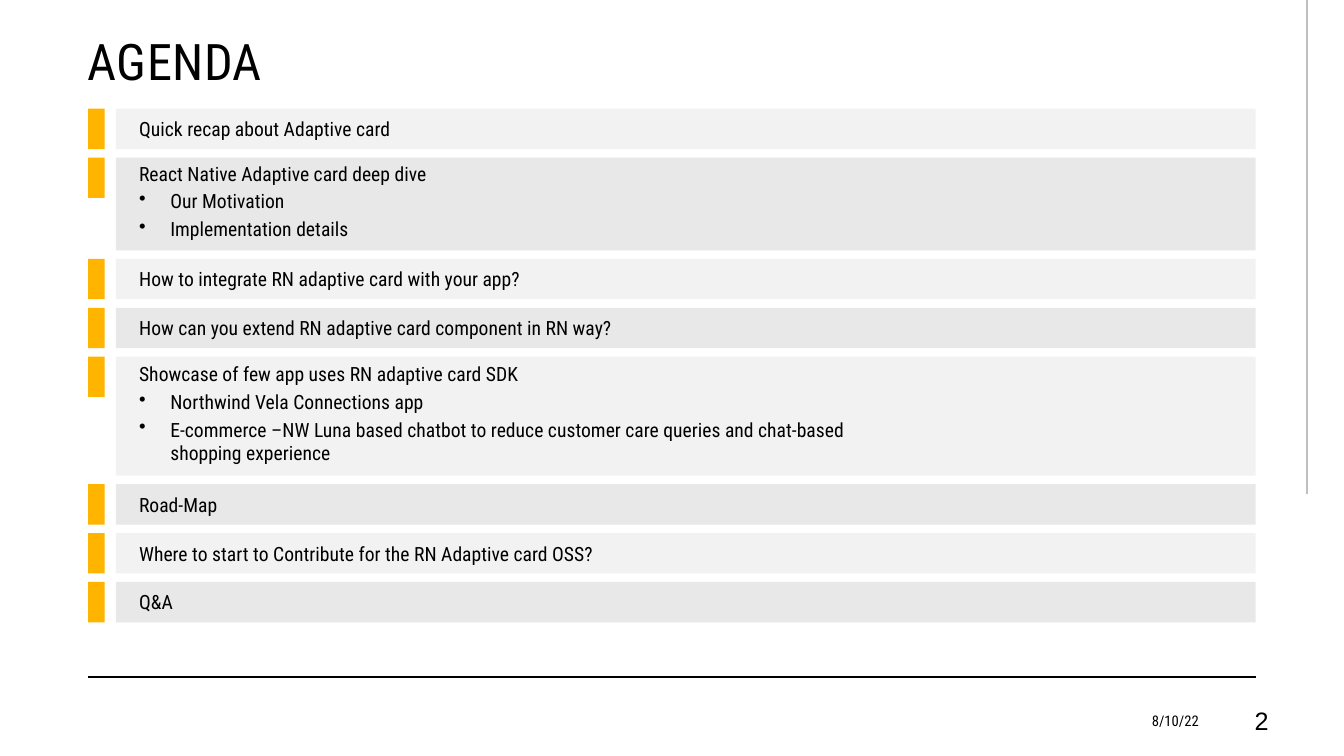
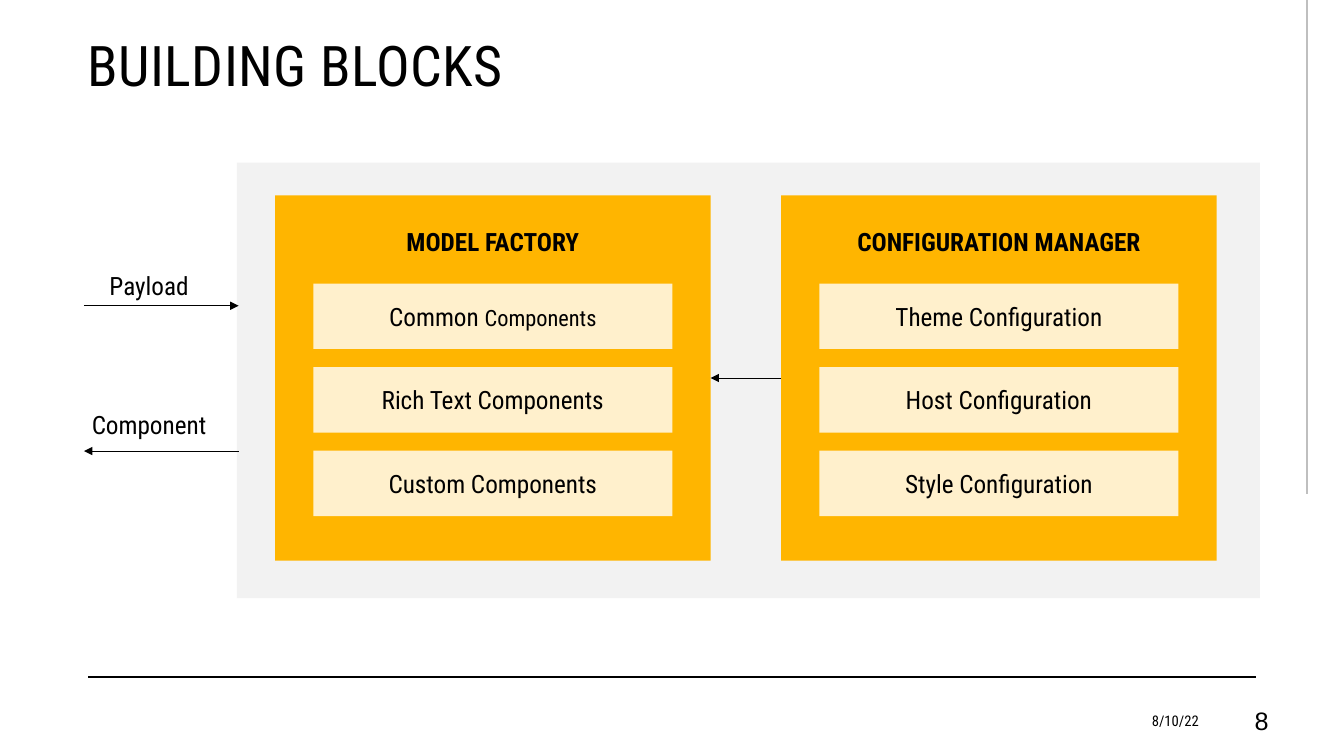
from lxml.etree import SubElement
from pptx import Presentation
from pptx.dml.color import RGBColor
from pptx.enum.shapes import MSO_CONNECTOR, MSO_SHAPE
from pptx.enum.text import MSO_ANCHOR, MSO_AUTO_SIZE, PP_ALIGN
from pptx.oxml.ns import qn
from pptx.util import Inches, Pt

COLUMNS, ROWS = 160, 90
UNIT = Inches(1) // 12
BLACK, GOLD, CREAM = "000000", "FFB500", "FFF0CC"
LIGHT, MIDDLE, SILVER = "F2F2F2", "E8E8E8", "BFBFBF"


def color(value):
    """Turn a hex string into a colour."""
    return RGBColor.from_string(value)


def grid(*lengths):
    """Turn grid columns or rows into slide lengths."""
    return [round(length * UNIT) for length in lengths]


def add_bullet(para):
    """Give a paragraph a hanging round bullet."""
    properties = para._p.get_or_add_pPr()
    properties.set("marL", str(Inches(0.31)))
    properties.set("indent", str(-Inches(0.31)))
    SubElement(properties, qn("a:buChar")).set("char", "•")


def write(shape, *lines, size=18, font="Roboto Condensed", bold=False, align=PP_ALIGN.LEFT,
          anchor=MSO_ANCHOR.MIDDLE, insets=(1.2, 0.6, 1.2, 0.6), after=0, bullets=False, tracking=0):
    """Write lines, each a string or a list of (text, size) spans."""
    frame = shape.text_frame
    frame.word_wrap = True
    frame.auto_size = MSO_AUTO_SIZE.NONE
    frame.vertical_anchor = anchor
    frame.margin_left, frame.margin_top, frame.margin_right, frame.margin_bottom = grid(*insets)
    for index, line in enumerate(lines):
        para = frame.add_paragraph() if index else frame.paragraphs[0]
        if bullets and index:
            add_bullet(para)
        para.alignment = align
        para.space_after = Pt(after)
        for text, span_size in [(line, size)] if isinstance(line, str) else line:
            span = para.add_run()
            span.text = text
            span.font.name = font
            span.font.size = Pt(span_size)
            span.font.bold = bold
            span.font.color.rgb = color(BLACK)
            if tracking:
                span._r.get_or_add_rPr().set("spc", str(tracking))


class Painter:
    """Hold the shared style and draw on the current slide."""

    def __init__(self):
        """Start an empty widescreen deck."""
        self.deck = Presentation()
        self.deck.slide_width, self.deck.slide_height = grid(COLUMNS, ROWS)

    def page(self, title, number, size, height):
        """Start a slide with its title, rules and footer."""
        layout = self.deck.slide_layouts.get_by_name("Title Only")
        slide = self.deck.slides.add_slide(layout)
        self.shapes = slide.shapes
        heading = self.shapes.title
        heading.left, heading.top, heading.width, heading.height = grid(9.25, 3, 140.25, height)
        write(heading, title, size=size, anchor=MSO_ANCHOR.TOP, tracking=30)
        self.line((10.5, 80.6), (149.5, 80.6))
        self.line((155.6, 58.8), (155.6, 0), stroke=SILVER)
        self.text("8/10/22", 109.8, 83.4, 34.1, 4.8, size=10.5, align=PP_ALIGN.RIGHT)
        self.text(number, 143.3, 83.4, 8.9, 4.8, font="Arial", align=PP_ALIGN.RIGHT)

    def box(self, left, top, width, height, fill):
        """Draw a flat rectangle."""
        box = self.shapes.add_shape(MSO_SHAPE.RECTANGLE, *grid(left, top, width, height))
        box.shadow.inherit = False
        box.fill.solid()
        box.fill.fore_color.rgb = color(fill)
        box.line.fill.background()
        return box

    def text(self, words, left, top, width, height, **style):
        """Place a text box."""
        write(self.shapes.add_textbox(*grid(left, top, width, height)), words, **style)

    def line(self, start, end, stroke=BLACK, weight=1, arrow=False):
        """Draw a straight line, with an arrowhead at its end if asked."""
        connector = self.shapes.add_connector(MSO_CONNECTOR.STRAIGHT, *grid(*start, *end))
        connector.line.color.rgb = color(stroke)
        connector.line.width = Pt(weight)
        if arrow:
            SubElement(connector.line._get_or_add_ln(), qn("a:tailEnd")).set("type", "triangle")
        SubElement(connector._element.spPr, qn("a:effectLst"))
        return connector

    def card(self, heading, blocks, left):
        """Draw a gold card with a heading and a stack of blocks."""
        card = self.box(left, 23.25, 51.85, 43.5, GOLD)
        write(card, heading, bold=True, align=PP_ALIGN.CENTER, anchor=MSO_ANCHOR.TOP,
              insets=(1.2, 3.72, 1.2, 0.6))
        for index, block in enumerate(blocks):
            box = self.box(left + 4.56, 33.75 + index * 9.95, 42.73, 7.8, CREAM)
            write(box, block, align=PP_ALIGN.CENTER)
        return card


def draw_agenda(painter):
    """Draw the agenda bands."""
    painter.page("AGENDA", "2", size=36, height=8.9)
    topics = [
        (4.8, ["Quick recap about Adaptive card"]),
        (11.04, ["React Native Adaptive card deep dive", "Our Motivation", "Implementation details"]),
        (4.8, ["How to integrate RN adaptive card with your app?"]),
        (4.8, ["How can you extend RN adaptive card component in RN way?"]),
        (14.16, ["Showcase of few app uses RN adaptive card SDK",
                 "Northwind Vela Connections app",
                 "E-commerce –NW Luna based chatbot to reduce customer care queries "
                 "and chat-based shopping experience"]),
        (4.8, ["Road-Map"]),
        (4.8, ["Where to start to Contribute for the RN Adaptive card OSS?"]),
        (4.8, ["Q&A"]),
    ]
    top, gap = 12.95, 1.02
    for index, (height, lines) in enumerate(topics):
        is_list = len(lines) > 1
        painter.box(10.5, top, 1.95, 4.8, GOLD)
        band = painter.box(13.8, top, 135.7, height, MIDDLE if index % 2 else LIGHT)
        write(band, *lines, size=14, bullets=is_list, after=3 if is_list else 0,
              insets=(2.76, 0.6, 41.9, 1.3 if is_list else 0.6))
        top += height + gap


def draw_building_blocks(painter):
    """Draw the two cards and the flows around them."""
    painter.page("BUILDING BLOCKS", "8", size=40, height=18)
    painter.box(28.2, 19.35, 121.8, 51.85, LIGHT)
    factory = painter.card("MODEL FACTORY", [
        [("Common ", 18), ("Components", 16)], "Rich Text Components", "Custom Components"], 32.75)
    manager = painter.card("CONFIGURATION MANAGER", [
        "Theme Configuration", "Host Configuration", "Style Configuration"], 93)
    link = painter.line((93, 45), (84.6, 45), weight=0.5, arrow=True)
    link.begin_connect(manager, 1)
    link.end_connect(factory, 3)
    flows = [("Payload", 31.55, 36.4, 10, 28.4), ("Component", 48.1, 53.7, 28.4, 10)]
    for label, label_top, row, start, end in flows:
        painter.line((start, row), (end, row), weight=0.5, arrow=True)
        painter.text(label, 8.75, label_top, 18, 4.8, align=PP_ALIGN.CENTER, anchor=MSO_ANCHOR.TOP)


def main():
    """Build and save the deck."""
    painter = Painter()
    draw_agenda(painter)
    draw_building_blocks(painter)
    painter.deck.save("out.pptx")


if __name__ == "__main__":
    main()
